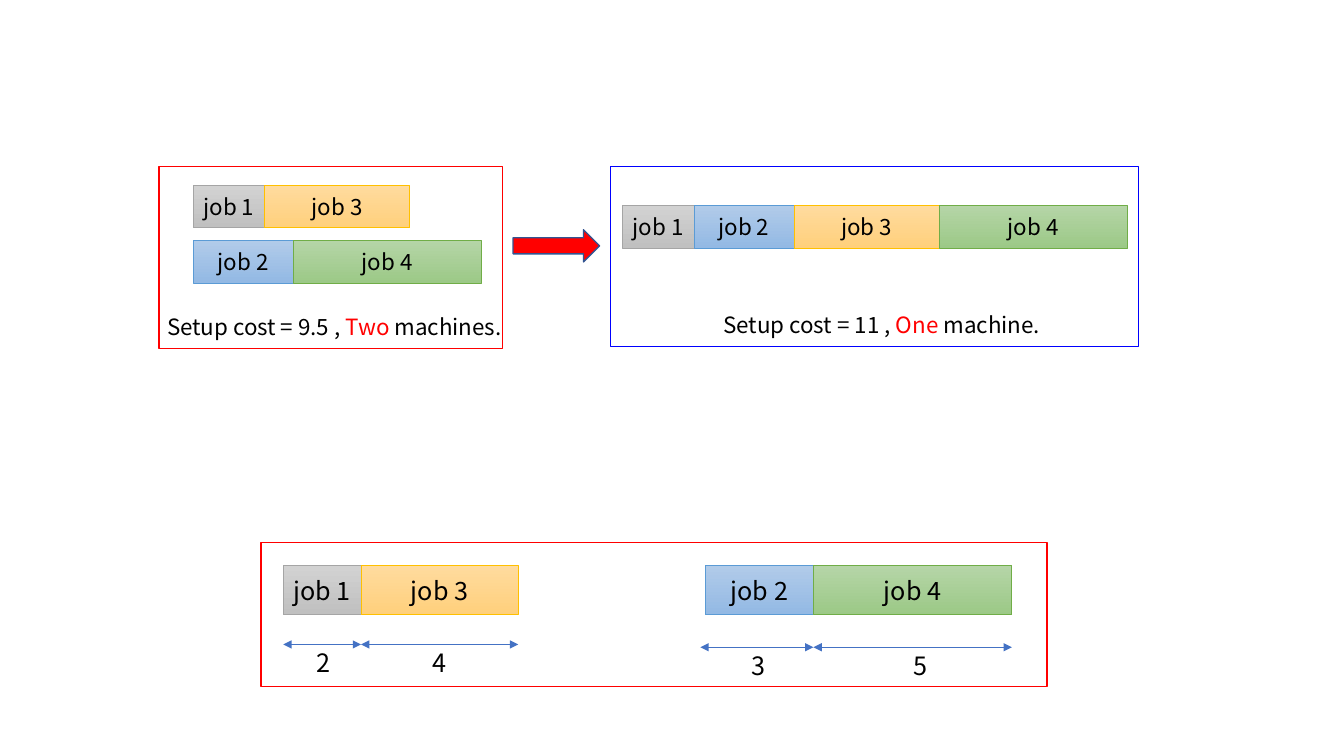
from dataclasses import dataclass

from lxml.etree import SubElement
from pptx import Presentation
from pptx.dml.color import RGBColor
from pptx.enum.shapes import MSO_CONNECTOR as CONN, MSO_SHAPE as SHAPE
from pptx.enum.text import MSO_ANCHOR as ANCHOR, MSO_AUTO_SIZE as AUTO, PP_ALIGN as ALIGN
from pptx.oxml.ns import qn
from pptx.util import Cm, Pt


@dataclass(frozen=True)
class Theme:
    font: str = "Noto Sans CJK SC"
    small: int = 16
    large: int = 18
    text: str = "000000"
    panel: str = "FFFFFF"
    red: str = "FF0000"
    blue: str = "0000FF"
    arrow_line: str = "325491"
    dimension: str = "4472C4"
    jobs: tuple = (
        ("D2D2D2", "C0C0C0", "A5A5A5"),
        ("B1CBE9", "93B9E4", "5B9BD5"),
        ("FFDB9E", "FFD07C", "FFC000"),
        ("B5D5A7", "9CC987", "70AD47"),
    )


T = Theme()
SMALL_WIDTHS = {1: 1.8, 2: 2.52, 3: 3.66, 4: 4.74}
LARGE_WIDTHS = {1: 1.96, 2: 2.72, 3: 3.96, 4: 5}


def rgb(color):
    return RGBColor.from_string(color)


def set_font(font, size, color=T.text):
    font.name = T.font
    font.size = Pt(size)
    font.color.rgb = rgb(color)


def add_block(s, kind, box, line, width, fill=None):
    sp = s.shapes.add_shape(kind, *map(Cm, box))
    sp.shadow.inherit = False
    sp.line.color.rgb = rgb(line)
    sp.line.width = Pt(width)
    if fill:
        sp.fill.solid()
        sp.fill.fore_color.rgb = rgb(fill)
    return sp


def add_textbox(s, box):
    tb = s.shapes.add_textbox(*map(Cm, box))
    tf = tb.text_frame
    tf.word_wrap = True
    tf.auto_size = AUTO.SHAPE_TO_FIT_TEXT
    return tf.paragraphs[0]


def add_job_row(s, x, y, height, jobs, widths, size):
    for job in jobs:
        top, bottom, line = T.jobs[job - 1]
        sp = add_block(s, SHAPE.RECTANGLE, (x, y, widths[job], height), line, 0.5)
        sp.fill.gradient()
        sp.fill.gradient_angle = 270
        for stop, color in zip(sp.fill.gradient_stops, (top, bottom)):
            stop.color.rgb = rgb(color)
        for stop, position in zip(sp.fill.gradient_stops, (0, 1)):
            stop.position = position
        tf = sp.text_frame
        tf.margin_left = tf.margin_right = 0
        tf.vertical_anchor = ANCHOR.MIDDLE
        p = tf.paragraphs[0]
        p.text = f"job {job}"
        p.alignment = ALIGN.CENTER
        set_font(p.font, size)
        x += widths[job]


def add_dimension(s, x1, x2, y, label_x, label):
    c = s.shapes.add_connector(CONN.STRAIGHT, Cm(x1), Cm(y), Cm(x2), Cm(y))
    c.line.color.rgb = rgb(T.dimension)
    c.line.width = Pt(0.5)
    ln = c.line._get_or_add_ln()
    for end in ("a:headEnd", "a:tailEnd"):
        SubElement(ln, qn(end), type="triangle")
    SubElement(c._element.spPr, qn("a:effectLst"))
    p = add_textbox(s, (label_x, y - 0.05, 2.54, 1.02))
    p.text = label
    set_font(p.font, T.large)


def add_schedule(s, box, line, rows, caption, caption_box):
    x, y, w, h = box
    add_block(s, SHAPE.RECTANGLE, box, line, 1, T.panel)
    dx, dy, cw, ch = caption_box
    p = add_textbox(s, (x + dx, y + dy, cw, ch))
    p.line_spacing = 1.5
    for text, color in zip(caption, (T.text, T.red, T.text)):
        r = p.add_run()
        r.text = text
        set_font(r.font, T.small, color)
    for row_x, row_y, jobs in rows:
        add_job_row(s, x + row_x, y + row_y, 1.07, jobs, SMALL_WIDTHS, T.small)


def add_durations(s, box, groups):
    x, y, w, h = box
    add_block(s, SHAPE.RECTANGLE, box, T.red, 1, T.panel)
    for group_x, lead, line_y, jobs in groups:
        start = x + group_x
        add_job_row(s, start, y + 0.58, 1.24, [job for job, *_ in jobs], LARGE_WIDTHS, T.large)
        for job, label, label_x in jobs:
            end = start + LARGE_WIDTHS[job]
            add_dimension(s, start - lead, end, y + line_y, start + label_x, label)
            start, lead = end, 0


def main():
    prs = Presentation()
    prs.slide_width, prs.slide_height = Cm(33.87), Cm(19.05)
    s = prs.slides.add_slide(prs.slide_layouts[6])

    add_durations(s, (6.58, 13.67, 19.81, 3.63), [
        (0.56, 0, 2.57, [(1, "2", 0.58), (3, "4", 1.55)]),
        (11.2, 0.13, 2.64, [(2, "3", 0.92), (4, "5", 2.26)]),
    ])
    add_schedule(s, (15.39, 4.19, 13.31, 4.55), T.blue, [(0.3, 0.99, (1, 2, 3, 4))],
                 ("Setup cost = 11 , ", "One", " machine."), (2.59, 3.2, 11.23, 1.17))
    add_schedule(s, (4.01, 4.19, 8.66, 4.6), T.red, [(0.86, 0.48, (1, 3)), (0.86, 1.87, (2, 4))],
                 ("Setup cost = 9.5 , ", "Two", " machines."), (-0.05, 3.23, 9.86, 1.17))
    add_block(s, SHAPE.RIGHT_ARROW, (12.93, 5.79, 2.18, 0.81), T.arrow_line, 1, T.red)
    prs.save("out.pptx")


if __name__ == "__main__":
    main()
